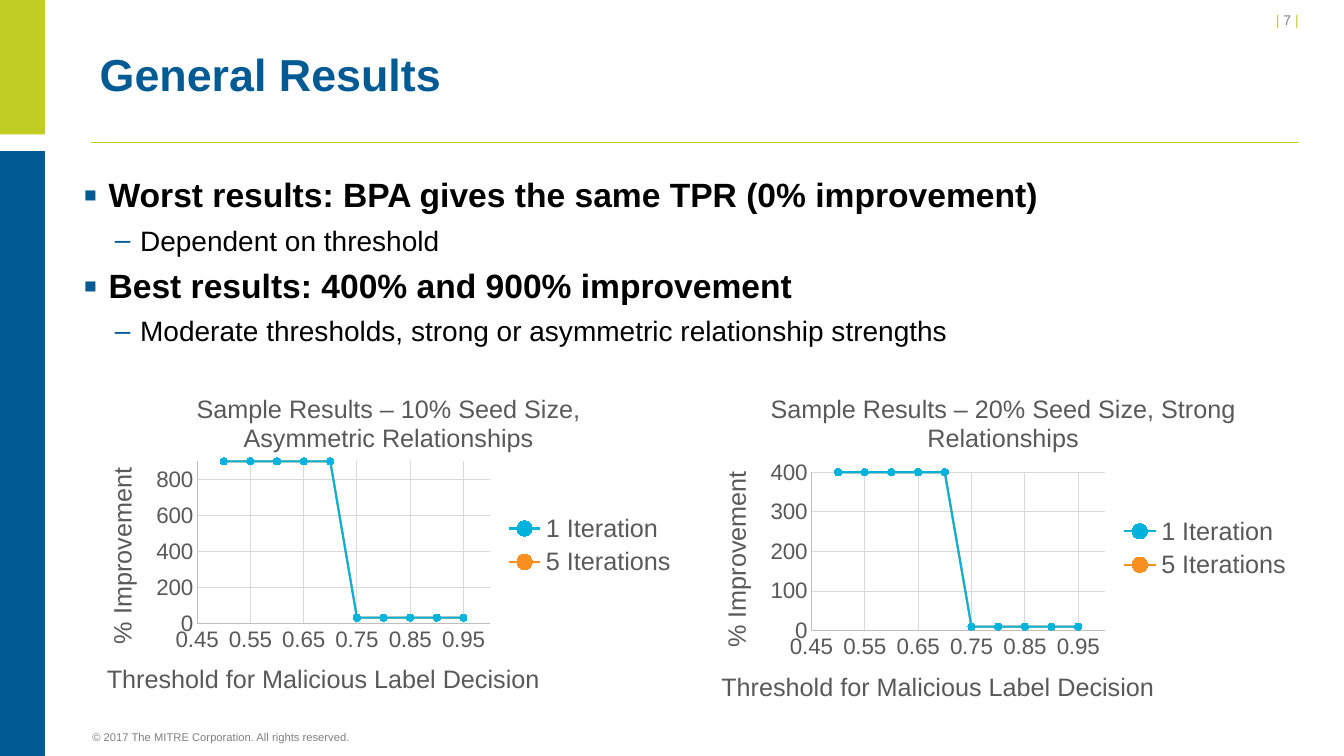
from dataclasses import dataclass
from typing import Any, NamedTuple

import pptx
import pptx.chart.data
import pptx.dml.color
import pptx.enum.chart
import pptx.enum.shapes
import pptx.enum.text
import pptx.oxml
import pptx.oxml.ns
import pptx.util
from lxml import etree

Pt = pptx.util.Pt
Color = pptx.dml.color.RGBColor


@dataclass(frozen=True)
class Theme:
    font: str = "Arial"
    lime: Color = Color(0xC1, 0xCD, 0x23)
    blue: Color = Color(0x00, 0x5B, 0x94)
    black: Color = Color(0, 0, 0)
    gray: Color = Color(0x80, 0x80, 0x80)
    chart_text: Color = Color(0x59, 0x59, 0x59)
    axis: Color = Color(0xBF, 0xBF, 0xBF)
    grid: Color = Color(0xD9, 0xD9, 0xD9)
    cyan: Color = Color(0x00, 0xB3, 0xDC)
    orange: Color = Color(0xF7, 0x90, 0x1E)
    title_size: int = 32
    point_size: int = 24
    detail_size: int = 20
    chart_size: int = 18
    tick_size: int = 16
    number_size: int = 10
    footer_size: int = 8


class Box(NamedTuple):
    left: float
    top: float
    width: float
    height: float

    def points(self) -> list[pptx.util.Length]:
        return [Pt(length) for length in self]


class BulletStyle(NamedTuple):
    char: str
    margin: float
    scale: int
    size: int
    bold: bool


class Point(NamedTuple):
    level: int
    text: str


class Results(NamedTuple):
    title: str
    box: Box
    plot: Box  # fractions of the chart area
    high: float
    low: float
    axis_max: float
    axis_step: float


THEME = Theme()
BULLETS = [
    BulletStyle("▪", 18, 120, THEME.point_size, True),
    BulletStyle("–", 40.5, 100, THEME.detail_size, False),
]
POINTS = [
    Point(0, "Worst results: BPA gives the same TPR (0% improvement)"),
    Point(1, "Dependent on threshold"),
    Point(0, "Best results: 400% and 900% improvement"),
    Point(1, "Moderate thresholds, strong or asymmetric relationship strengths"),
]
THRESHOLDS = [round(0.5 + 0.05 * step, 2) for step in range(10)]
ITERATIONS = {"1 Iteration": THEME.cyan, "5 Iterations": THEME.orange}
RESULTS = [
    Results("Sample Results – 20% Seed Size, Strong Relationships",
            Box(502.5, 268.5, 428, 246), Box(0.18, 0.28, 0.49, 0.46), 400, 10, 400, 100),
    Results("Sample Results – 10% Seed Size, Asymmetric Relationships",
            Box(64, 268.5, 427, 242), Box(0.18, 0.25, 0.49, 0.48), 900, 30, 905, 200),
]


def style_font(font: Any, size: float, color: Color, bold: bool = False) -> None:
    font.name = THEME.font
    font.size = Pt(size)
    font.bold = bold
    font.color.rgb = color


def add_run(paragraph: Any, text: str, size: float, color: Color, bold: bool = False) -> None:
    run = paragraph.add_run()
    run.text = text
    style_font(run.font, size, color, bold)


def add_text_frame(slide: Any, box: Box) -> Any:
    frame = slide.shapes.add_textbox(*box.points()).text_frame
    frame.word_wrap = True
    return frame


def add_band(slide: Any, box: Box, color: Color) -> None:
    band = slide.shapes.add_shape(pptx.enum.shapes.MSO_SHAPE.RECTANGLE, *box.points())
    band.shadow.inherit = False
    band.fill.solid()
    band.fill.fore_color.rgb = color
    band.line.fill.background()


def add_frame_parts(slide: Any) -> None:
    """Draw the side bands, title rule, page number and copyright line."""
    rule = slide.shapes.add_connector(
        pptx.enum.shapes.MSO_CONNECTOR.STRAIGHT, Pt(65), Pt(102), Pt(928), Pt(102))
    rule.line.color.rgb = THEME.lime
    rule.line.width = Pt(1)
    etree.SubElement(rule._element.spPr, pptx.oxml.ns.qn("a:effectLst"))
    add_band(slide, Box(0, 0, 32, 96), THEME.lime)
    add_band(slide, Box(0, 108, 32, 432), THEME.blue)

    page_number = add_text_frame(slide, Box(769, 5, 168.5, 19.5)).paragraphs[0]
    page_number.alignment = pptx.enum.text.PP_ALIGN.RIGHT
    for text, color in (("| ", THEME.lime), ("7 ", THEME.gray), ("| ", THEME.lime)):
        add_run(page_number, text, THEME.number_size, color)

    footer = add_text_frame(slide, Box(66, 522, 453.5, 9.5))
    footer.margin_left = footer.margin_top = footer.margin_right = footer.margin_bottom = 0
    add_run(footer.paragraphs[0], "© 2017 The MITRE Corporation. All rights reserved.",
            THEME.footer_size, THEME.gray)


def fill_title(title: Any, text: str) -> None:
    title.left, title.top, title.width, title.height = Box(64, 21.5, 864, 68.5).points()
    title.text_frame.vertical_anchor = pptx.enum.text.MSO_ANCHOR.MIDDLE
    paragraph = title.text_frame.paragraphs[0]
    paragraph.alignment = pptx.enum.text.PP_ALIGN.LEFT
    paragraph.line_spacing = Pt(32)
    add_run(paragraph, text, THEME.title_size, THEME.blue, True)


def add_bullet(paragraph: Any, style: BulletStyle) -> None:
    properties = paragraph._p.get_or_add_pPr()
    properties.set("marL", str(Pt(style.margin)))
    properties.set("indent", str(-Pt(18)))
    namespace = pptx.oxml.ns.nsdecls("a")
    for xml in (
        f'<a:buClr {namespace}><a:srgbClr val="{THEME.blue}"/></a:buClr>',
        f'<a:buSzPct {namespace} val="{style.scale * 1000}"/>',
        f'<a:buFont {namespace} typeface="{THEME.font}"/>',
        f'<a:buChar {namespace} char="{style.char}"/>',
    ):
        properties.append(pptx.oxml.parse_xml(xml))


def add_points(slide: Any) -> None:
    frame = add_text_frame(slide, Box(52.5, 121, 828, 143))
    for index, point in enumerate(POINTS):
        paragraph = frame.add_paragraph() if index else frame.paragraphs[0]
        style = BULLETS[point.level]
        paragraph.level = point.level
        add_bullet(paragraph, style)
        paragraph.space_after = Pt(6)
        add_run(paragraph, point.text, style.size, THEME.black, style.bold)


def style_axis(axis: Any, title: str, low: float, high: float, step: float) -> None:
    add_run(axis.axis_title.text_frame.paragraphs[0], title, THEME.chart_size, THEME.chart_text)
    axis.minimum_scale, axis.maximum_scale, axis.major_unit = low, high, step
    axis.major_tick_mark = axis.minor_tick_mark = pptx.enum.chart.XL_TICK_MARK.NONE
    axis.has_major_gridlines = True
    style_font(axis.tick_labels.font, THEME.tick_size, THEME.chart_text)
    for line, color in ((axis.format.line, THEME.axis), (axis.major_gridlines.format.line, THEME.grid)):
        line.color.rgb = color
        line.width = Pt(0.75)


def place_plot(chart: Any, plot: Box) -> None:
    """Fix the inner plot area at the given fractions of the chart."""
    plot_area = chart._chartSpace.chart.plotArea
    for layout in plot_area.findall(pptx.oxml.ns.qn("c:layout")):
        plot_area.remove(layout)
    settings = {"layoutTarget": "inner", "xMode": "edge", "yMode": "edge",
                "x": plot.left, "y": plot.top, "w": plot.width, "h": plot.height}
    items = "".join(f'<c:{key} val="{value}"/>' for key, value in settings.items())
    plot_area.insert(0, pptx.oxml.parse_xml(
        f'<c:layout {pptx.oxml.ns.nsdecls("c")}><c:manualLayout>{items}</c:manualLayout></c:layout>'))


def add_results_chart(slide: Any, results: Results) -> None:
    data = pptx.chart.data.XyChartData()
    for name in ITERATIONS:
        series = data.add_series(name)
        for threshold in THRESHOLDS:
            series.add_data_point(threshold, results.high if threshold < 0.75 else results.low)
    chart = slide.shapes.add_chart(
        pptx.enum.chart.XL_CHART_TYPE.XY_SCATTER_LINES, *results.box.points(), data).chart
    style_font(chart.font, THEME.number_size, THEME.black)
    chart.plots[0].vary_by_categories = False
    add_run(chart.chart_title.text_frame.paragraphs[0], results.title,
            THEME.chart_size, THEME.chart_text)
    chart.has_legend = True
    chart.legend.position = pptx.enum.chart.XL_LEGEND_POSITION.RIGHT
    chart.legend.include_in_layout = False
    style_font(chart.legend.font, THEME.chart_size, THEME.chart_text)
    style_axis(chart.category_axis, "Threshold for Malicious Label Decision", 0.45, 1, 0.1)
    style_axis(chart.value_axis, "% Improvement", 0, results.axis_max, results.axis_step)
    place_plot(chart, results.plot)
    for series, color in zip(chart.plots[0].series, ITERATIONS.values()):
        series.smooth = False
        series.format.line.color.rgb = color
        series.format.line.width = Pt(1.5)
        series.marker.style = pptx.enum.chart.XL_MARKER_STYLE.CIRCLE
        series.marker.size = 5
        series.marker.format.fill.solid()
        series.marker.format.fill.fore_color.rgb = color
        series.marker.format.line.color.rgb = color


def main() -> None:
    deck = pptx.Presentation()
    deck.slide_width, deck.slide_height = Pt(960), Pt(540)
    slide = deck.slides.add_slide(deck.slide_layouts.get_by_name("Title Only"))
    add_frame_parts(slide)
    fill_title(slide.shapes.title, "General Results")
    add_points(slide)
    for results in RESULTS:
        add_results_chart(slide, results)
    deck.save("out.pptx")


if __name__ == "__main__":
    main()
